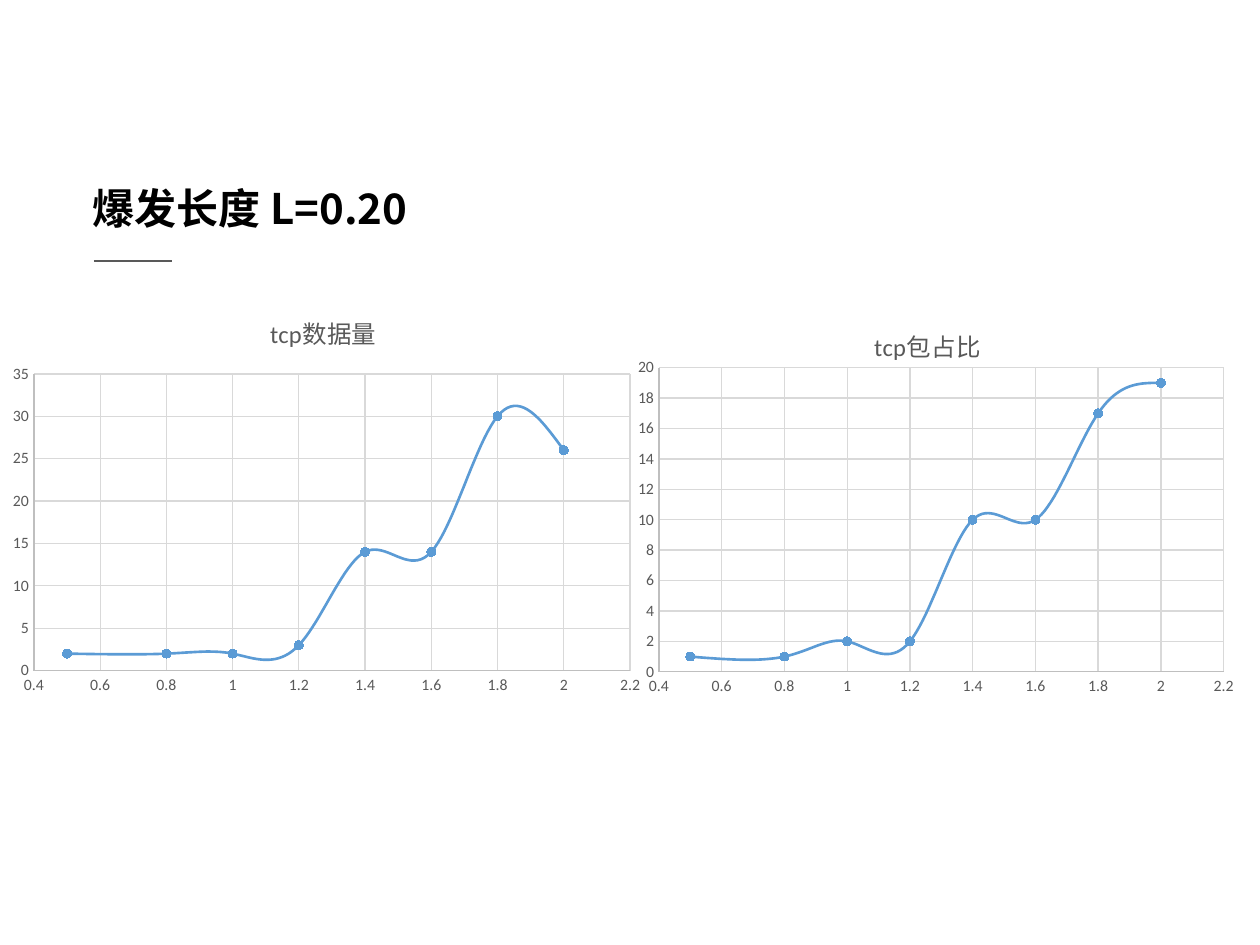
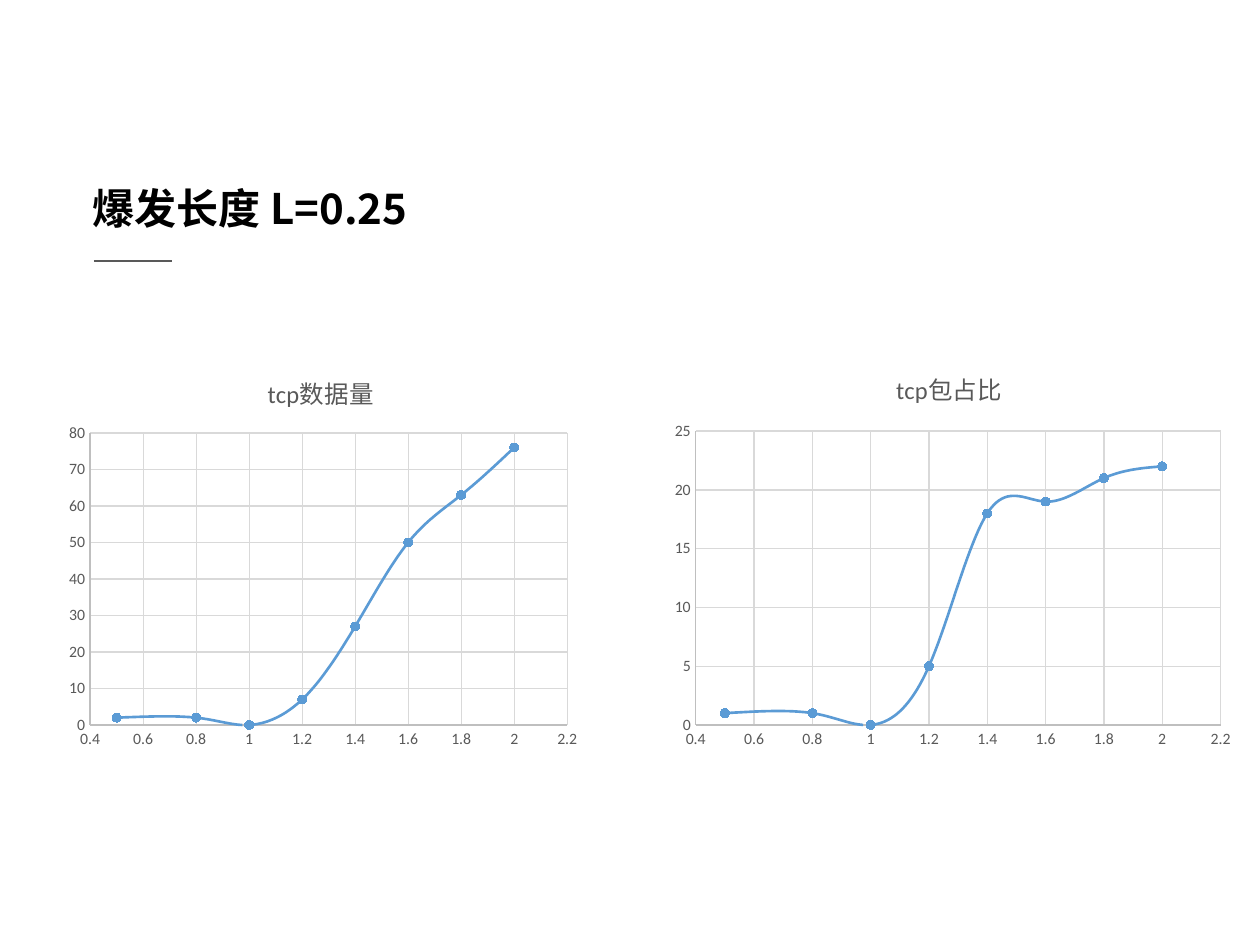
from typing import NamedTuple

from lxml import etree
from pptx import Presentation
from pptx.chart.data import XyChartData
from pptx.dml.color import RGBColor
from pptx.enum.chart import XL_CHART_TYPE, XL_MARKER_STYLE, XL_TICK_MARK
from pptx.enum.shapes import MSO_CONNECTOR
from pptx.enum.text import MSO_ANCHOR, MSO_AUTO_SIZE, PP_ALIGN
from pptx.oxml.ns import qn
from pptx.util import Emu, Pt

SMOOTH = XL_CHART_TYPE.XY_SCATTER_SMOOTH
CIRCLE = XL_MARKER_STYLE.CIRCLE
NO_TICK = XL_TICK_MARK.NONE
STRAIGHT = MSO_CONNECTOR.STRAIGHT
MIDDLE = MSO_ANCHOR.MIDDLE
NO_FIT = MSO_AUTO_SIZE.NONE
LEFT = PP_ALIGN.LEFT

# Shared look
SCALE = 914400 // 126
BLACK, GRAY, AXIS, GRID, BLUE = "000000", "595959", "BFBFBF", "D9D9D9", "5B9BD5"
SANS, HAN = "Calibri", "Noto Sans CJK SC"
HEAD = {"name": HAN, "size": Pt(24), "bold": True}
BASE = {"name": SANS, "size": Pt(10)}
TICK = {"name": SANS, "size": Pt(9), "bold": False}
NAME = {"name": SANS, "size": Pt(14), "bold": False}
FRAME = {"word_wrap": True, "auto_size": NO_FIT, "vertical_anchor": MIDDLE,
         "margin_left": Pt(4.5), "margin_right": Pt(4.5),
         "margin_top": Pt(2.25), "margin_bottom": Pt(2.25)}
LOADS = (0.5, 0.8, 1, 1.2, 1.4, 1.6, 1.8, 2)


class Box(NamedTuple):
    left: int
    top: int
    width: int
    height: int


class Graph(NamedTuple):
    title: str
    box: Box
    plot: Box
    label: tuple[int, int]
    top: int
    step: int
    vals: tuple[int, ...]  # whole numbers, as on the value axis


class Page(NamedTuple):
    title: str
    graphs: tuple[Graph, ...]


VOLUME, SHARE = "tcp数据量", "tcp包占比"
PAGES = (
    Page("爆发长度 L=0.20", (
        Graph(VOLUME, Box(0, 294, 653, 410), Box(34, 374, 596, 297), (266, 307),
              35, 5, (2, 2, 2, 3, 14, 14, 30, 26)),
        Graph(SHARE, Box(601, 305, 659, 476), Box(659, 368, 565, 304), (870, 320),
              20, 2, (1, 1, 2, 2, 10, 10, 17, 19)))),
    Page("爆发长度 L=0.25", (
        Graph(VOLUME, Box(59, 354, 529, 403), Box(90, 433, 477, 292), (263, 367),
              80, 10, (2, 2, 0, 7, 27, 50, 63, 76)),
        Graph(SHARE, Box(664, 350, 578, 406), Box(696, 431, 525, 294), (892, 364),
              25, 5, (1, 1, 0, 5, 18, 19, 21, 22)))),
)


def px(num: int) -> Emu:
    return Emu(num * SCALE)


def tint(color, code: str) -> None:
    color.rgb = RGBColor.from_string(code)


def apply(item, values: dict) -> None:
    for key, value in values.items():
        setattr(item, key, value)


def write(font, values: dict, code: str) -> None:
    apply(font, values)
    tint(font.color, code)


def stroke(line, code: str, width: float = 0.75) -> None:
    tint(line.color, code)
    line.width = Pt(width)


def set_run(run, values: dict, code: str) -> None:
    """Style a run, with the Han font for its East Asian letters."""
    write(run.font, values, code)
    latin = run._r.get_or_add_rPr().find(qn("a:latin"))
    east = etree.Element(qn("a:ea"), typeface=HAN)
    latin.addnext(east)


def place(parent, index: int, values: dict) -> None:
    """Give a chart part a manual layout."""
    old = parent.find(qn("c:layout"))
    if old is not None:
        parent.remove(old)
    node = etree.Element(qn("c:layout"))
    parent.insert(index, node)
    manual = etree.SubElement(node, qn("c:manualLayout"))
    for key, value in values.items():
        etree.SubElement(manual, qn("c:" + key), val=str(value))


def share(left: int, top: int, box: Box) -> dict:
    """Express a point as fractions of the chart's box."""
    return {"xMode": "edge", "yMode": "edge",
            "x": round((left - box.left) / box.width, 3),
            "y": round((top - box.top) / box.height, 3)}


def add_head(slide, text: str) -> None:
    # Title
    title = slide.shapes.title
    apply(title, dict(zip(("left", "top", "width", "height"),
                          map(px, (85, 179, 822, 58)))))
    apply(title.text_frame, FRAME)
    para = title.text_frame.paragraphs[0]
    para.alignment = LEFT
    run = para.add_run()
    run.text = text
    set_run(run, HEAD, BLACK)
    # Short rule below it
    rule = slide.shapes.add_connector(STRAIGHT, px(94), px(261), px(172), px(261))
    stroke(rule.line, GRAY)
    etree.SubElement(rule._element.spPr, qn("a:effectLst"))


def set_axis(axis, low: float, high: float, step: float) -> None:
    apply(axis, {"minimum_scale": low, "maximum_scale": high, "major_unit": step,
                 "major_tick_mark": NO_TICK, "minor_tick_mark": NO_TICK,
                 "has_major_gridlines": True})
    stroke(axis.format.line, AXIS)
    stroke(axis.major_gridlines.format.line, GRID)
    write(axis.tick_labels.font, TICK, GRAY)


def add_graph(slide, graph: Graph) -> None:
    box, plot = graph.box, graph.plot
    data = XyChartData()
    line = data.add_series("Series 1")
    for load, value in zip(LOADS, graph.vals):
        line.add_data_point(load, value)
    chart = slide.shapes.add_chart(SMOOTH, *map(px, box), data).chart
    chart.has_legend = False
    write(chart.font, BASE, BLACK)

    # Clear background, so that the charts may overlap
    back = etree.Element(qn("c:spPr"))
    etree.SubElement(back, qn("a:noFill"))
    edge = etree.SubElement(back, qn("a:ln"))
    etree.SubElement(edge, qn("a:noFill"))
    body = chart._chartSpace.find(qn("c:chart"))
    body.addnext(back)

    # Chart title
    chart.has_title = True
    run = chart.chart_title.text_frame.paragraphs[0].add_run()
    run.text = graph.title
    set_run(run, NAME, GRAY)
    place(body.find(qn("c:title")), 1, share(*graph.label, box))

    # Plot area and axes
    place(body.find(qn("c:plotArea")), 0, {
        "layoutTarget": "inner", **share(plot.left, plot.top, box),
        "w": round(plot.width / box.width, 3),
        "h": round(plot.height / box.height, 3)})
    set_axis(chart.category_axis, 0.4, 2.2, 0.2)
    set_axis(chart.value_axis, 0, graph.top, graph.step)

    # Curve and markers
    chart.plots[0].vary_by_categories = False
    curve = chart.plots[0].series[0]
    stroke(curve.format.line, BLUE, 1.5)
    apply(curve.marker, {"style": CIRCLE, "size": 5})
    curve.marker.format.fill.solid()
    tint(curve.marker.format.fill.fore_color, BLUE)
    stroke(curve.marker.format.line, BLUE)
    # A scatter series is smoothed in its XML
    bend = curve._element.find(qn("c:smooth"))
    if bend is None:
        bend = etree.SubElement(curve._element, qn("c:smooth"))
    bend.set("val", "1")


def main() -> None:
    deck = Presentation()
    deck.slide_width, deck.slide_height = px(1260), px(945)
    for page in PAGES:
        slide = deck.slides.add_slide(deck.slide_layouts[5])
        add_head(slide, page.title)
        for graph in page.graphs:
            add_graph(slide, graph)
    deck.save("out.pptx")


main()
